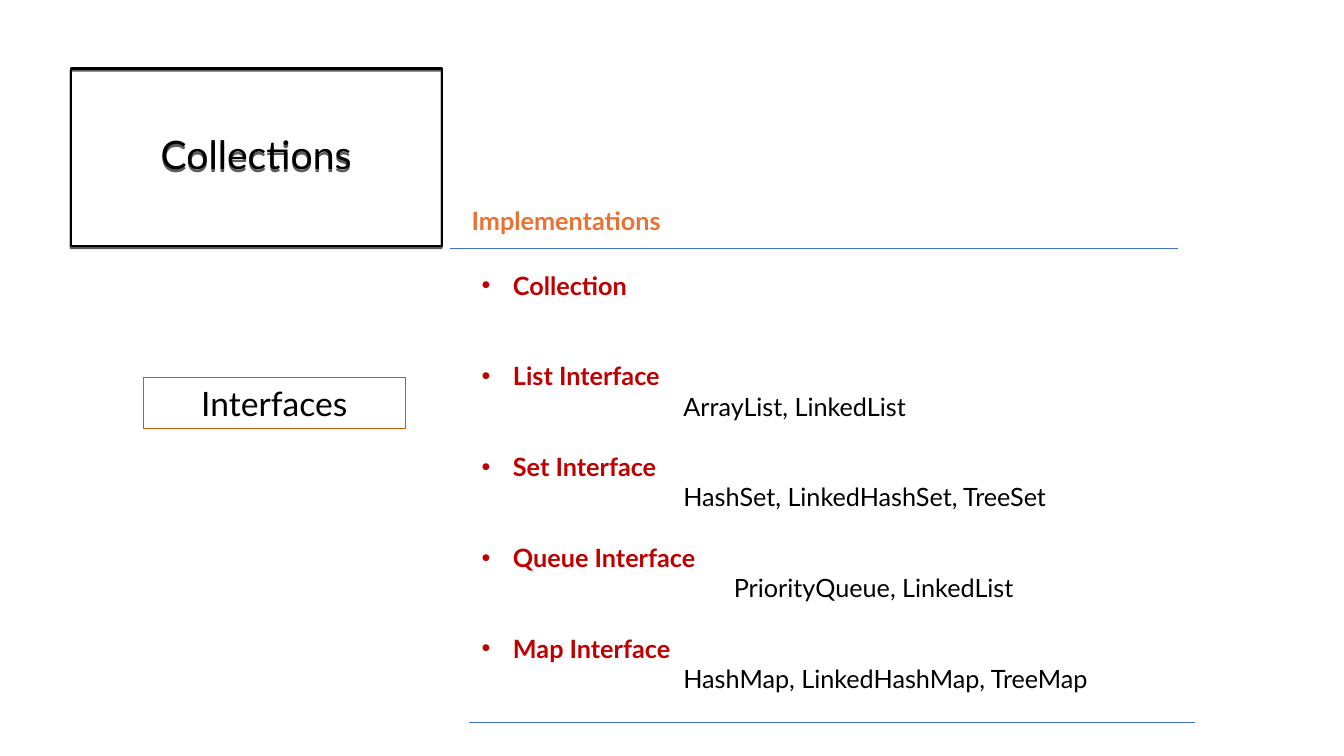
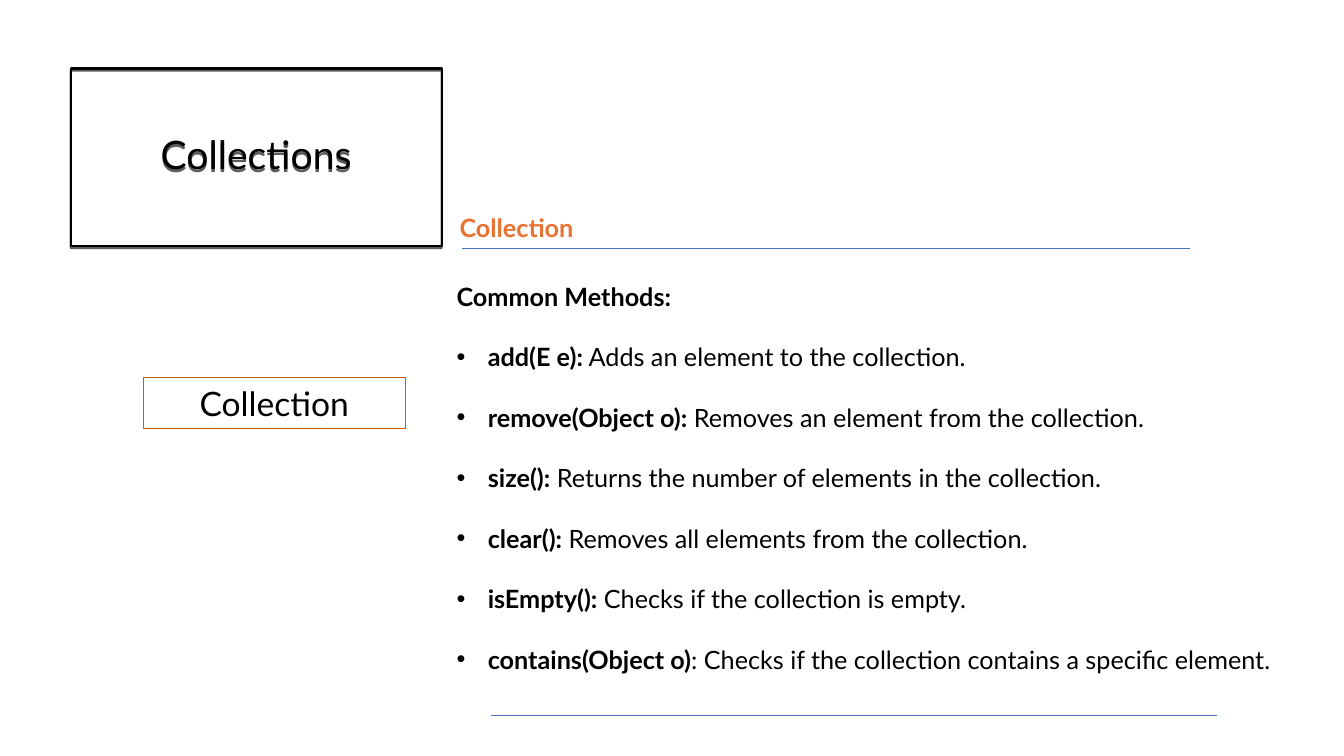
from lxml import etree
from pptx import Presentation
from pptx.dml.color import RGBColor
from pptx.enum.shapes import MSO_CONNECTOR, MSO_SHAPE
from pptx.enum.text import MSO_ANCHOR, MSO_AUTO_SIZE, PP_ALIGN
from pptx.oxml import parse_xml
from pptx.oxml.ns import qn
from pptx.util import Pt

PX = 9144  # 100 px to the inch
FONT = "Lato"
COLORS = {"text": "000000", "heading": "E97132", "interface": "C00000",
          "rule": "4472C4", "label": "C55A11"}
CENTER, MIDDLE = PP_ALIGN.CENTER, MSO_ANCHOR.MIDDLE
FIT_SHAPE, NO_FIT = MSO_AUTO_SIZE.SHAPE_TO_FIT_TEXT, MSO_AUTO_SIZE.NONE
RECTANGLE, STRAIGHT = MSO_SHAPE.RECTANGLE, MSO_CONNECTOR.STRAIGHT
TITLE_ONLY = 5
BODY_LINE = 21.6  # height of one body line in points
BULLET_INDENT = 31
TITLE_SHADOW = (
    '<a:effectLst xmlns:a="http://schemas.openxmlformats.org/drawingml/2006/main">'
    '<a:outerShdw blurRad="0" dist="19050" dir="5400000" rotWithShape="0">'
    '<a:srgbClr val="000000"><a:alpha val="63000"/></a:srgbClr>'
    '</a:outerShdw></a:effectLst>')


def color(name):
    return RGBColor.from_string(COLORS[name])


def add_run(paragraph, text, size, color_name="text", bold=False):
    run = paragraph.add_run()
    run.text = text
    run.font.name, run.font.size, run.font.bold = FONT, Pt(size), bold
    run.font.color.rgb = color(color_name)


# Body paragraphs: bullet, left indent, blank lines before, runs (text, colour, bold)
interfaces = [
    ("Collection", 0, None, 0),
    ("List Interface", 2, "ArrayList, LinkedList", 200),
    ("Set Interface", 1, "HashSet, LinkedHashSet, TreeSet", 200),
    ("Queue Interface", 1, "PriorityQueue, LinkedList", 250),
    ("Map Interface", 1, "HashMap, LinkedHashMap, TreeMap", 200),
]
interface_body = []
for name, gap, classes, indent in interfaces:
    interface_body.append((True, BULLET_INDENT, gap, [(name, "interface", True)]))
    if classes:
        interface_body.append((False, indent, 0, [(classes, "text", False)]))

methods = [
    ("add(E e):", " Adds an element to the collection."),
    ("remove(Object o):", " Removes an element from the collection."),
    ("size():", " Returns the number of elements in the collection."),
    ("clear():", " Removes all elements from the collection."),
    ("isEmpty():", " Checks if the collection is empty."),
    ("contains(Object o)", ": Checks if the collection contains a specific element."),
]
method_body = [(False, 0, 0, [("Common Methods:", "text", True)])]
for name, purpose in methods:
    method_body.append((True, BULLET_INDENT, 1,
                        [(name, "text", True), (purpose, "text", False)]))

# Rules are left, right, y; boxes are left, top, width, height
slides = [
    {"label": "Interfaces", "heading": "Implementations",
     "heading_box": (458, 199, 251, 40),
     "rules": [(446, 1168, 246), (465, 1185, 717)],
     "body_box": (468, 263, 667, 434), "body": interface_body},
    {"label": "Collection", "heading": "Collection",
     "heading_box": (446, 206, 251, 40),
     "rules": [(458, 1180, 246), (487, 1207, 710)],
     "body_box": (443, 274, 872, 404), "body": method_body},
]

presentation = Presentation()
presentation.slide_width, presentation.slide_height = 1333 * PX, 750 * PX

for content in slides:
    slide = presentation.slides.add_slide(presentation.slide_layouts[TITLE_ONLY])

    # Framed title
    title = slide.shapes.title
    title.left, title.top, title.width, title.height = 70 * PX, 68 * PX, 368 * PX, 176 * PX
    title.line.color.rgb, title.line.width = color("text"), Pt(1.5)
    title.element.spPr.append(parse_xml(TITLE_SHADOW))
    title.text_frame.auto_size = NO_FIT
    title.text_frame.vertical_anchor = MIDDLE
    paragraph = title.text_frame.paragraphs[0]
    paragraph.alignment, paragraph.line_spacing = CENTER, 0.9
    add_run(paragraph, "Collections", 28)

    # Rules above and below the body
    for left, right, y in content["rules"]:
        rule = slide.shapes.add_connector(STRAIGHT, left * PX, y * PX, right * PX, y * PX)
        rule.line.color.rgb, rule.line.width = color("rule"), Pt(0.5)
        etree.SubElement(rule.element.spPr, qn("a:effectLst"))

    # Heading
    heading = slide.shapes.add_textbox(*[n * PX for n in content["heading_box"]])
    heading.text_frame.word_wrap = True
    heading.text_frame.auto_size = FIT_SHAPE
    add_run(heading.text_frame.paragraphs[0], content["heading"], 18, "heading", True)

    # Topic label
    label = slide.shapes.add_shape(RECTANGLE, 142 * PX, 375 * PX, 260 * PX, 50 * PX)
    label.shadow.inherit = False
    label.fill.background()
    label.line.color.rgb, label.line.width = color("label"), Pt(0.75)
    label.text_frame.word_wrap = True
    label.text_frame.auto_size = FIT_SHAPE
    label.text_frame.vertical_anchor = MSO_ANCHOR.TOP
    paragraph = label.text_frame.paragraphs[0]
    paragraph.alignment = CENTER
    add_run(paragraph, content["label"], 24)

    # Body
    body = slide.shapes.add_textbox(*[n * PX for n in content["body_box"]])
    frame = body.text_frame
    frame.word_wrap = True
    frame.auto_size = FIT_SHAPE
    for index, (bullet, indent, gap, runs) in enumerate(content["body"]):
        paragraph = frame.add_paragraph() if index else frame.paragraphs[0]
        properties = paragraph._p.get_or_add_pPr()
        properties.set("marL", str(indent * PX))
        properties.set("indent", str(-indent * PX if bullet else 0))
        if bullet:
            etree.SubElement(properties, qn("a:buFont"), typeface="Arial")
            etree.SubElement(properties, qn("a:buChar"), char="•")
        if gap:
            paragraph.space_before = Pt(gap * BODY_LINE)
        for text, color_name, bold in runs:
            add_run(paragraph, text, 18, color_name, bold)

presentation.save("out.pptx")
